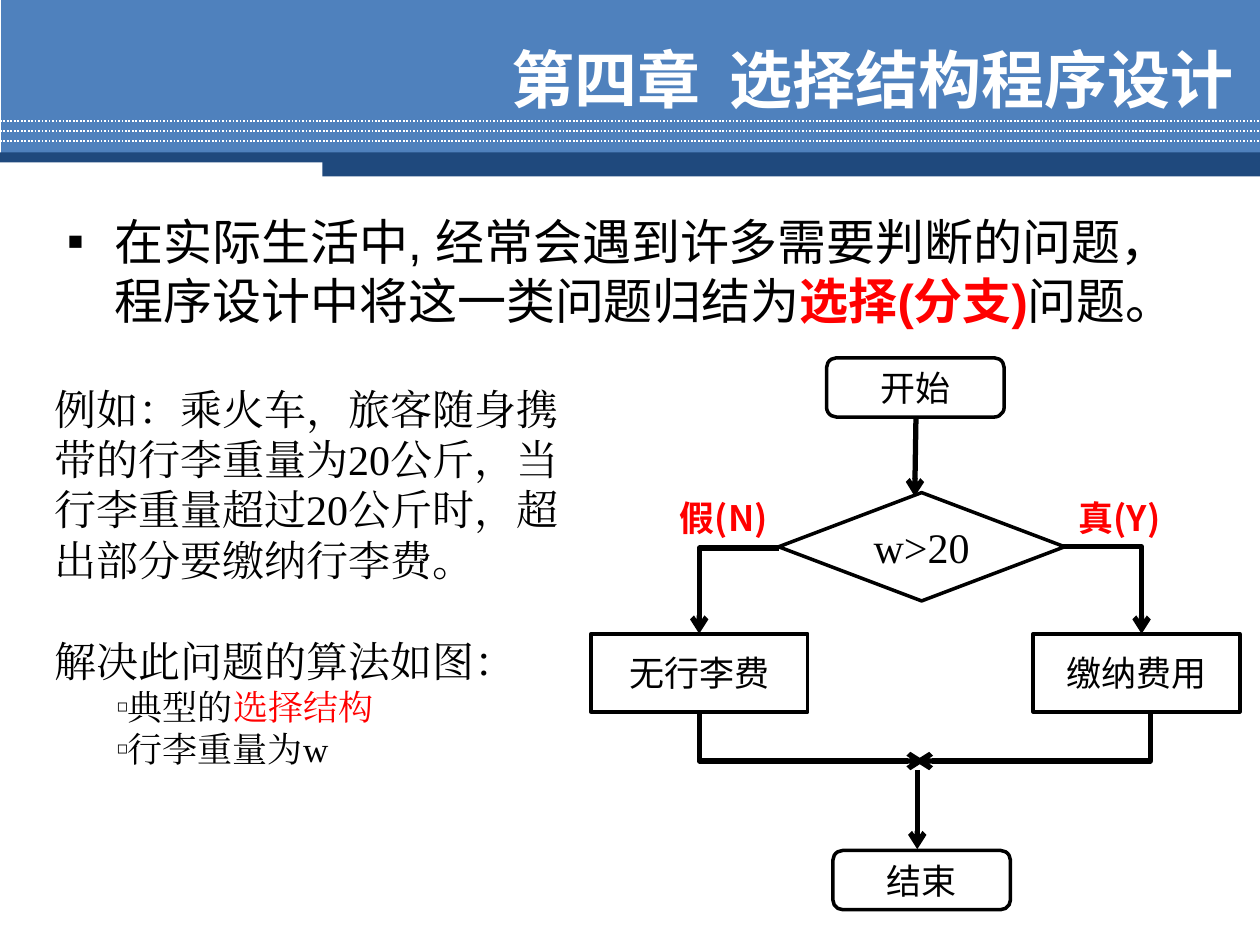
import dataclasses
import typing

import pptx
import pptx.dml.color
import pptx.enum.dml
import pptx.enum.shapes
import pptx.enum.text
import pptx.oxml.ns
import pptx.util
from lxml import etree

PX = 9144  # EMU per px, 100 px to the inch
COLORS = {"black": "000000", "white": "FFFFFF", "red": "FF0000",
          "band": "4F81BD", "navy": "1F497D"}
HEADING_FONT = "Noto Sans CJK SC"
SERIF = "Times New Roman"
SANS = "Arial"
KIND = pptx.enum.shapes.MSO_SHAPE
ALIGN = pptx.enum.text.PP_ALIGN
ANCHOR = pptx.enum.text.MSO_ANCHOR


@dataclasses.dataclass(frozen=True)
class Box:
    left: int
    top: int
    width: int
    height: int

    def emu(self) -> list[int]:
        return [value * PX for value in dataclasses.astuple(self)]


@dataclasses.dataclass(frozen=True)
class Style:
    size: int
    name: str = SANS
    color: str = "black"
    bold: bool = False


@dataclasses.dataclass(frozen=True)
class Node:
    kind: int
    box: Box
    text: str
    style: Style = Style(20)


@dataclasses.dataclass(frozen=True)
class Arrow:
    """A line, or an elbow running first across and then down or up."""
    start: tuple[int, int]
    end: tuple[int, int]
    elbow: bool = False
    at_start: bool = False


@dataclasses.dataclass(frozen=True)
class Bullet:
    char: str
    margin: int
    indent: int
    percent: int


SQUARE = Bullet("▪", 38, -38, 100)
HOLLOW = Bullet("◻", 50, 0, 50)
LABEL = Style(20, HEADING_FONT, "red", True)
EXAMPLE = Style(24, SERIF)
DETAIL = Style(20, SERIF)

NODES = [
    Node(KIND.FLOWCHART_ALTERNATE_PROCESS, Box(656, 284, 141, 47), "开始"),
    Node(KIND.FLOWCHART_DECISION, Box(618, 391, 227, 86), "w>20", EXAMPLE),
    Node(KIND.FLOWCHART_PROCESS, Box(469, 503, 172, 62), "无行李费"),
    Node(KIND.FLOWCHART_PROCESS, Box(820, 503, 164, 62), "缴纳费用"),
    Node(KIND.FLOWCHART_ALTERNATE_PROCESS, Box(661, 675, 141, 47), "结束"),
]
ARROWS = [
    Arrow((727, 331), (726, 394)),
    Arrow((618, 435), (555, 503), elbow=True),
    Arrow((844, 434), (906, 503), elbow=True),
    Arrow((734, 604), (555, 565), elbow=True, at_start=True),
    Arrow((726, 604), (913, 565), elbow=True, at_start=True),
    Arrow((728, 611), (728, 674)),
]
LABELS = [("真(Y)", Box(828, 389, 121, 43)), ("假(N)", Box(516, 389, 117, 43))]


def set_values(target: typing.Any, values: dict[str, typing.Any]) -> None:
    for name, value in values.items():
        setattr(target, name, value)


def rgb(color: str) -> pptx.dml.color.RGBColor:
    return pptx.dml.color.RGBColor.from_string(COLORS[color])


def add_element(parent: typing.Any, tag: str, **attributes: str) -> None:
    element = etree.SubElement(parent, pptx.oxml.ns.qn(tag))
    for name, value in attributes.items():
        element.set(name, value)


def add_run(paragraph: typing.Any, text: str, style: Style) -> None:
    run = paragraph.add_run()
    run.text = text
    set_values(run.font, {"name": style.name, "size": pptx.util.Pt(style.size),
                          "bold": style.bold})
    run.font.color.rgb = rgb(style.color)
    add_element(run.font._element, "a:ea", typeface=style.name)


def set_bullet(paragraph: typing.Any, bullet: Bullet) -> None:
    properties = paragraph._p.get_or_add_pPr()
    properties.set("marL", str(bullet.margin * PX))
    properties.set("indent", str(bullet.indent * PX))
    add_element(properties, "a:buSzPct", val=str(bullet.percent * 1000))
    add_element(properties, "a:buFont", typeface=SANS)
    add_element(properties, "a:buChar", char=bullet.char)


def set_frame(shape: typing.Any, anchor: typing.Any) -> typing.Any:
    set_values(shape.text_frame, {
        "word_wrap": True, "vertical_anchor": anchor,
        "auto_size": pptx.enum.text.MSO_AUTO_SIZE.NONE})
    return shape.text_frame


def write_line(shape: typing.Any, text: str, style: Style, align: typing.Any,
               anchor: typing.Any = ANCHOR.MIDDLE) -> None:
    paragraph = set_frame(shape, anchor).paragraphs[0]
    paragraph.alignment = align
    add_run(paragraph, text, style)


def add_bar(slide: typing.Any, box: Box, color: str) -> None:
    shape = slide.shapes.add_shape(KIND.RECTANGLE, *box.emu())
    shape.shadow.inherit = False
    shape.fill.solid()
    shape.fill.fore_color.rgb = rgb(color)
    shape.line.fill.background()


def add_line(slide: typing.Any, arrow: Arrow, color: str, width: int) -> typing.Any:
    points = [value * PX for value in (*arrow.start, *arrow.end)]
    line = slide.shapes.add_connector(
        pptx.enum.shapes.MSO_CONNECTOR.STRAIGHT, *points)
    if arrow.elbow:
        line._element.spPr.prstGeom.set("prst", "bentConnector2")
    line.line.color.rgb = rgb(color)
    line.line.width = pptx.util.Pt(width)
    add_element(line._element.spPr, "a:effectLst")
    return line


def add_arrow(slide: typing.Any, arrow: Arrow) -> None:
    line = add_line(slide, arrow, "black", 3)
    end = "a:headEnd" if arrow.at_start else "a:tailEnd"
    add_element(line.line._get_or_add_ln(), end, type="arrow")


def add_node(slide: typing.Any, node: Node) -> None:
    shape = slide.shapes.add_shape(node.kind, *node.box.emu())
    shape.shadow.inherit = False
    shape.fill.background()
    shape.line.color.rgb = rgb("black")
    shape.line.width = pptx.util.Pt(2)
    write_line(shape, node.text, node.style, ALIGN.CENTER)


def add_header(slide: typing.Any) -> None:
    add_bar(slide, Box(1, 0, 999, 123), "band")
    for y in (96, 104, 112):
        line = add_line(slide, Arrow((0, y), (1000, y)), "white", 1)
        line.line.dash_style = pptx.enum.dml.MSO_LINE.ROUND_DOT
    add_bar(slide, Box(0, 121, 1000, 8), "navy")
    add_bar(slide, Box(256, 124, 744, 16), "navy")


def place(placeholder: typing.Any, box: Box) -> None:
    """Moves a placeholder to its box, in front of what is drawn so far."""
    set_values(placeholder, dict(zip(("left", "top", "width", "height"), box.emu())))
    placeholder._element.getparent().append(placeholder._element)


def add_example(slide: typing.Any) -> None:
    frame = set_frame(slide.shapes.add_textbox(*Box(43, 304, 406, 417).emu()), ANCHOR.TOP)
    set_values(frame, dict.fromkeys(
        ("margin_left", "margin_top", "margin_right", "margin_bottom"), 0))
    lines = [
        ([("例如：乘火车，旅客随身携带的行李重量为20公斤，当行李重量超过20公斤时，"
           "超出部分要缴纳行李费。", EXAMPLE)], 0, None),
        ([("解决此问题的算法如图：", EXAMPLE)], 28.8, None),
        ([("典型的", DETAIL), ("选择结构", Style(20, SERIF, "red"))], 0, HOLLOW),
        ([("行李重量为w", DETAIL)], 0, HOLLOW),
    ]
    for index, (runs, before, bullet) in enumerate(lines):
        paragraph = frame.add_paragraph() if index else frame.paragraphs[0]
        set_values(paragraph, {"space_before": pptx.util.Pt(before),
                               "line_spacing": pptx.util.Pt(runs[0][1].size * 1.2)})
        if bullet:
            set_bullet(paragraph, bullet)
        for text, style in runs:
            add_run(paragraph, text, style)


def main() -> None:
    presentation = pptx.Presentation()
    set_values(presentation, {"slide_width": 1000 * PX, "slide_height": 750 * PX})
    slide = presentation.slides.add_slide(presentation.slide_layouts[1])
    title, body = slide.placeholders

    add_header(slide)
    place(title, Box(297, 33, 692, 58))
    write_line(title, "第四章  选择结构程序设计",
               Style(36, HEADING_FONT, "white", True), ALIGN.RIGHT)

    place(body, Box(43, 163, 918, 117))
    paragraph = set_frame(body, ANCHOR.TOP).paragraphs[0]
    paragraph.line_spacing = pptx.util.Pt(33.6)
    set_bullet(paragraph, SQUARE)
    add_run(paragraph, "在实际生活中, 经常会遇到许多需要判断的问题， "
            "程序设计中将这一类问题归结为", Style(28))
    add_run(paragraph, "选择(分支)", Style(28, SANS, "red", True))
    add_run(paragraph, "问题。", Style(28))

    add_example(slide)
    for node in NODES:
        add_node(slide, node)
    for arrow in ARROWS:
        add_arrow(slide, arrow)
    for text, box in LABELS:
        label = slide.shapes.add_textbox(*box.emu())
        write_line(label, text, LABEL, ALIGN.CENTER, ANCHOR.TOP)
    presentation.save("out.pptx")


if __name__ == "__main__":
    main()
